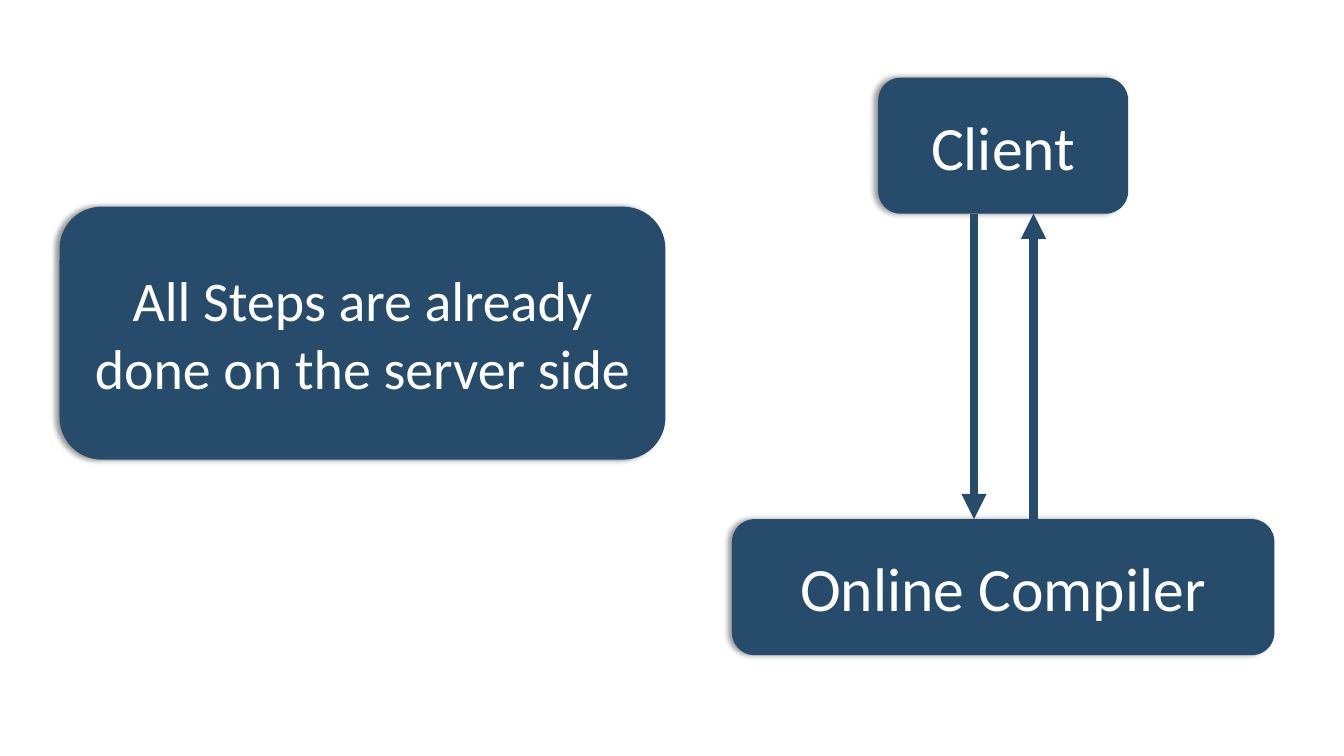
"""Build a slide showing a client exchanging messages with an online compiler."""
from lxml import etree
from pptx import Presentation
from pptx.dml.color import RGBColor
from pptx.enum.shapes import MSO_CONNECTOR, MSO_SHAPE
from pptx.enum.text import MSO_ANCHOR, PP_ALIGN
from pptx.oxml.ns import qn
from pptx.util import Inches, Pt

ROUNDED = MSO_SHAPE.ROUNDED_RECTANGLE
STRAIGHT = MSO_CONNECTOR.STRAIGHT
MIDDLE = MSO_ANCHOR.MIDDLE
CENTER = PP_ALIGN.CENTER

NAVY = RGBColor(0x27, 0x4B, 0x6A)
WHITE = RGBColor(0xFF, 0xFF, 0xFF)
FONT = "Calibri"

COMPILER = ("Online Compiler", 7.26, 5.15, 5.38, 1.35, 44)
NOTE = ("All Steps are already done on the server side", 0.59, 2.05, 6.01, 2.51, 40)
CLIENT = ("Client", 8.71, 0.77, 2.48, 1.35, 44)
REQUEST_X = 9.66
RESPONSE_X = 10.25


def write_text(shape, text, *, size, color=WHITE, font=FONT):
    frame = shape.text_frame
    frame.word_wrap = True
    frame.vertical_anchor = MIDDLE
    paragraph = frame.paragraphs[0]
    paragraph.alignment = CENTER
    run = paragraph.add_run()
    run.text = text
    run.font.size = Pt(size)
    run.font.name = font
    run.font.color.rgb = color


def add_left_shadow(shape):
    shape.shadow.inherit = False
    effects = shape._element.spPr.find(qn("a:effectLst"))
    shadow = etree.SubElement(
        effects, qn("a:outerShdw"), blurRad=str(Pt(4)), dist=str(Pt(3)),
        dir=str(180 * 60000), algn="r", rotWithShape="0")
    color = etree.SubElement(shadow, qn("a:srgbClr"), val="000000")
    etree.SubElement(color, qn("a:alpha"), val="40000")


def add_box(slide, text, left, top, width, height, size):
    shape = slide.shapes.add_shape(
        ROUNDED, Inches(left), Inches(top), Inches(width), Inches(height))
    shape.fill.solid()
    shape.fill.fore_color.rgb = NAVY
    shape.line.fill.background()
    add_left_shadow(shape)
    write_text(shape, text, size=size)


def add_arrow(slide, x, start, end):
    connector = slide.shapes.add_connector(
        STRAIGHT, Inches(x), Inches(start), Inches(x), Inches(end))
    connector.line.color.rgb = NAVY
    connector.line.width = Pt(6)
    properties = connector._element.spPr
    etree.SubElement(properties.find(qn("a:ln")), qn("a:tailEnd"), type="triangle")
    etree.SubElement(properties, qn("a:effectLst"))


def main():
    presentation = Presentation()
    presentation.slide_width = Inches(13.33)
    presentation.slide_height = Inches(7.5)
    slide = presentation.slides.add_slide(presentation.slide_layouts[6])

    for box in (COMPILER, NOTE, CLIENT):
        add_box(slide, *box)

    client_bottom = CLIENT[2] + CLIENT[4]
    compiler_top = COMPILER[2]
    add_arrow(slide, REQUEST_X, client_bottom, compiler_top)
    add_arrow(slide, RESPONSE_X, compiler_top, client_bottom)

    presentation.save("out.pptx")


if __name__ == "__main__":
    main()
